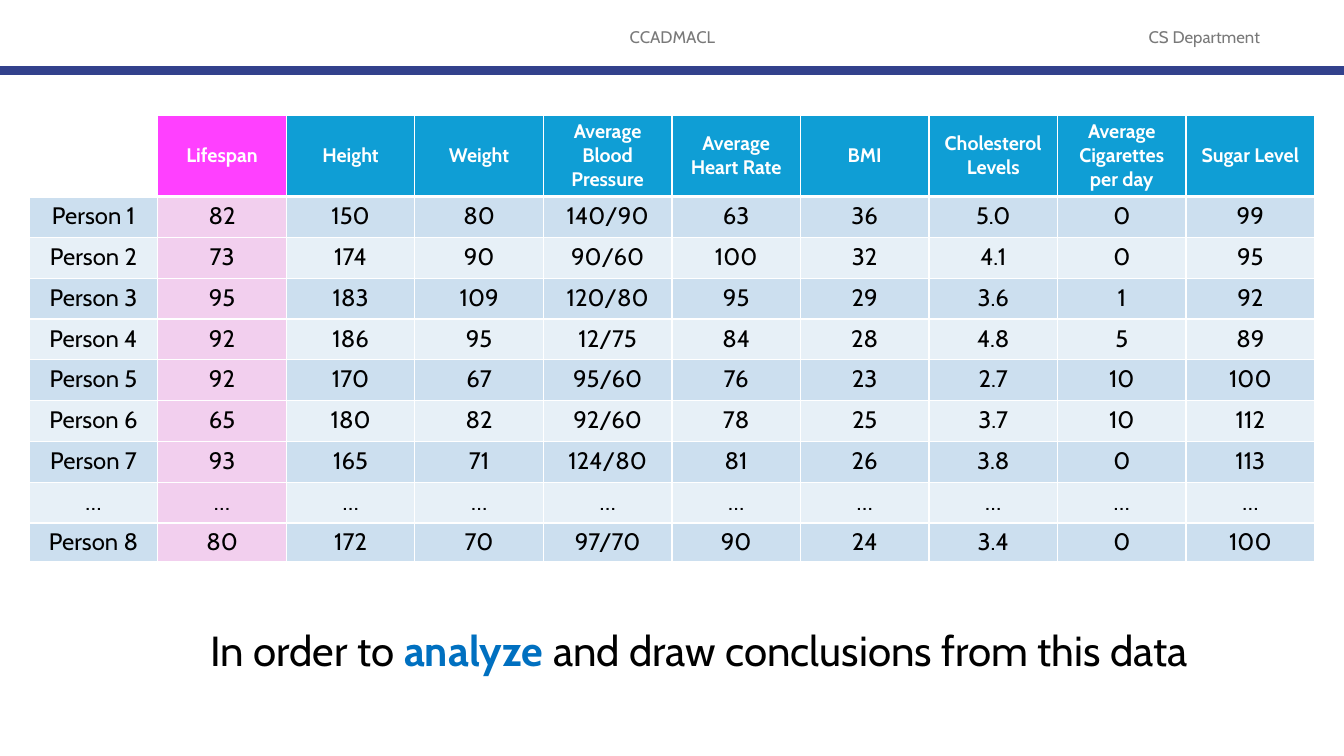
import dataclasses
import typing

import lxml.etree
import pptx
import pptx.dml.color
import pptx.enum.shapes
import pptx.enum.text
import pptx.oxml.ns
import pptx.util

Inches = pptx.util.Inches
Align = pptx.enum.text.PP_ALIGN
Anchor = pptx.enum.text.MSO_ANCHOR


@dataclasses.dataclass(frozen=True)
class Theme:
    font: str = "Cabin"
    white: str = "FFFFFF"
    black: str = "000000"
    grey: str = "797979"
    rule: str = "32418C"
    accent: str = "0070C0"
    header_fill: str = "0F9ED5"
    target_header_fill: str = "FF40FF"
    target_fill: str = "F2CFEE"
    bands: tuple[str, str] = ("CCDFEF", "E7F0F7")
    label_size: float = 12
    header_size: float = 14
    body_size: float = 17
    title_size: float = 30


class Box(typing.NamedTuple):
    left: float
    top: float
    width: float
    height: float


class Label(typing.NamedTuple):
    text: str
    box: Box


THEME = Theme()
SLIDE_WIDTH, SLIDE_HEIGHT = 13.33, 7.5
RULE_TOP = 0.7
LABELS = [
    Label("CCADMACL", Box(4.42, 0.17, 4.5, 0.4)),
    Label("CS Department", Box(10.92, 0.17, 2.05, 0.4)),
]
TITLE_BOX = Box(1.16, 6.04, 11.55, 0.87)
TABLE_BOX = Box(0.29, 1.14, 12.75, 4.43)
HEADER_HEIGHT, LAST_HEIGHT = 0.81, 0.38
TARGET_COLUMN = 1

HEADERS = ["", "Lifespan", "Height", "Weight", "Average Blood Pressure", "Average Heart Rate",
           "BMI", "Cholesterol Levels", "Average Cigarettes per day", "Sugar Level"]
PEOPLE = [
    ["Person 1", "82", "150", "80", "140/90", "63", "36", "5.0", "0", "99"],
    ["Person 2", "73", "174", "90", "90/60", "100", "32", "4.1", "0", "95"],
    ["Person 3", "95", "183", "109", "120/80", "95", "29", "3.6", "1", "92"],
    ["Person 4", "92", "186", "95", "12/75", "84", "28", "4.8", "5", "89"],
    ["Person 5", "92", "170", "67", "95/60", "76", "23", "2.7", "10", "100"],
    ["Person 6", "65", "180", "82", "92/60", "78", "25", "3.7", "10", "112"],
    ["Person 7", "93", "165", "71", "124/80", "81", "26", "3.8", "0", "113"],
    ["…"] * len(HEADERS),
    ["Person 8", "80", "172", "70", "97/70", "90", "24", "3.4", "0", "100"],
]


def rgb(value: str) -> pptx.dml.color.RGBColor:
    return pptx.dml.color.RGBColor.from_string(value)


def inches(box: Box) -> list[int]:
    return [Inches(length) for length in box]


def add_text(paragraph, text: str, *, size: float, color: str, bold: bool = False) -> None:
    """Append a centred, formatted run to a paragraph."""
    paragraph.alignment = Align.CENTER
    run = paragraph.add_run()
    run.text = text
    run.font.name = THEME.font
    run.font.size = pptx.util.Pt(size)
    run.font.bold = bold
    run.font.color.rgb = rgb(color)


def add_label(slide, label: Label) -> None:
    frame = slide.shapes.add_textbox(*inches(label.box)).text_frame
    frame.word_wrap = True
    frame.vertical_anchor = Anchor.MIDDLE
    add_text(frame.paragraphs[0], label.text, size=THEME.label_size, color=THEME.grey)


def add_rule(slide) -> None:
    line = slide.shapes.add_connector(
        pptx.enum.shapes.MSO_CONNECTOR.STRAIGHT,
        0, Inches(RULE_TOP), Inches(SLIDE_WIDTH), Inches(RULE_TOP))
    line.line.color.rgb = rgb(THEME.rule)
    line.line.width = pptx.util.Pt(6)
    lxml.etree.SubElement(line._element.spPr, pptx.oxml.ns.qn("a:effectLst"))


def set_borders(cell, *, top: float = 1, bottom: float = 1) -> None:
    """Draw white borders; they must precede the fill in the cell properties."""
    properties = cell._tc.get_or_add_tcPr()
    widths = {"a:lnL": 1, "a:lnR": 1, "a:lnT": top, "a:lnB": bottom}
    for tag, width in widths.items():
        border = lxml.etree.SubElement(
            properties, pptx.oxml.ns.qn(tag), w=str(pptx.util.Pt(width)))
        fill = lxml.etree.SubElement(border, pptx.oxml.ns.qn("a:solidFill"))
        lxml.etree.SubElement(fill, pptx.oxml.ns.qn("a:srgbClr"), val=THEME.white)


def fill_header(cell, text: str, column: int) -> None:
    set_borders(cell, bottom=3)
    if not text:
        cell.fill.background()
        return
    cell.fill.solid()
    is_target = column == TARGET_COLUMN
    cell.fill.fore_color.rgb = rgb(THEME.target_header_fill if is_target else THEME.header_fill)
    cell.vertical_anchor = Anchor.MIDDLE
    add_text(cell.text_frame.paragraphs[0], text,
             size=THEME.header_size, color=THEME.white, bold=True)


def fill_body(cell, text: str, row: int, column: int) -> None:
    set_borders(cell, top=3 if row == 0 else 1)
    cell.fill.solid()
    is_target = column == TARGET_COLUMN
    cell.fill.fore_color.rgb = rgb(THEME.target_fill if is_target else THEME.bands[row % 2])
    add_text(cell.text_frame.paragraphs[0], text, size=THEME.body_size, color=THEME.black)


def add_health_table(slide) -> None:
    table = slide.shapes.add_table(
        len(PEOPLE) + 1, len(HEADERS), *inches(TABLE_BOX)).table
    table.horz_banding = False

    # Column widths and row heights
    for column in table.columns:
        column.width = Inches(TABLE_BOX.width / len(HEADERS))
    middle_count = len(PEOPLE) - 1
    middle_height = (TABLE_BOX.height - HEADER_HEIGHT - LAST_HEIGHT) / middle_count
    heights = [HEADER_HEIGHT] + [middle_height] * middle_count + [LAST_HEIGHT]
    for row, height in zip(table.rows, heights):
        row.height = Inches(height)

    # Cells
    for column, text in enumerate(HEADERS):
        fill_header(table.cell(0, column), text, column)
    for row, person in enumerate(PEOPLE):
        for column, text in enumerate(person):
            fill_body(table.cell(row + 1, column), text, row, column)


def write_title(slide) -> None:
    title = slide.shapes.title
    title.left, title.top, title.width, title.height = inches(TITLE_BOX)
    frame = title.text_frame
    frame.word_wrap = True
    frame.auto_size = pptx.enum.text.MSO_AUTO_SIZE.NONE
    frame.vertical_anchor = Anchor.MIDDLE
    paragraph = frame.paragraphs[0]
    paragraph.line_spacing = 0.9
    paragraph.space_before = pptx.util.Pt(10)
    add_text(paragraph, "In order to ", size=THEME.title_size, color=THEME.black)
    add_text(paragraph, "analyze", size=THEME.title_size, color=THEME.accent, bold=True)
    add_text(paragraph, " and draw conclusions from this data",
             size=THEME.title_size, color=THEME.black)


def main() -> None:
    presentation = pptx.Presentation()
    presentation.slide_width = Inches(SLIDE_WIDTH)
    presentation.slide_height = Inches(SLIDE_HEIGHT)
    slide = presentation.slides.add_slide(presentation.slide_layouts.get_by_name("Title Only"))

    # Page header
    for label in LABELS:
        add_label(slide, label)
    add_rule(slide)

    # Data and conclusion
    add_health_table(slide)
    write_title(slide)
    presentation.save("out.pptx")


if __name__ == "__main__":
    main()
